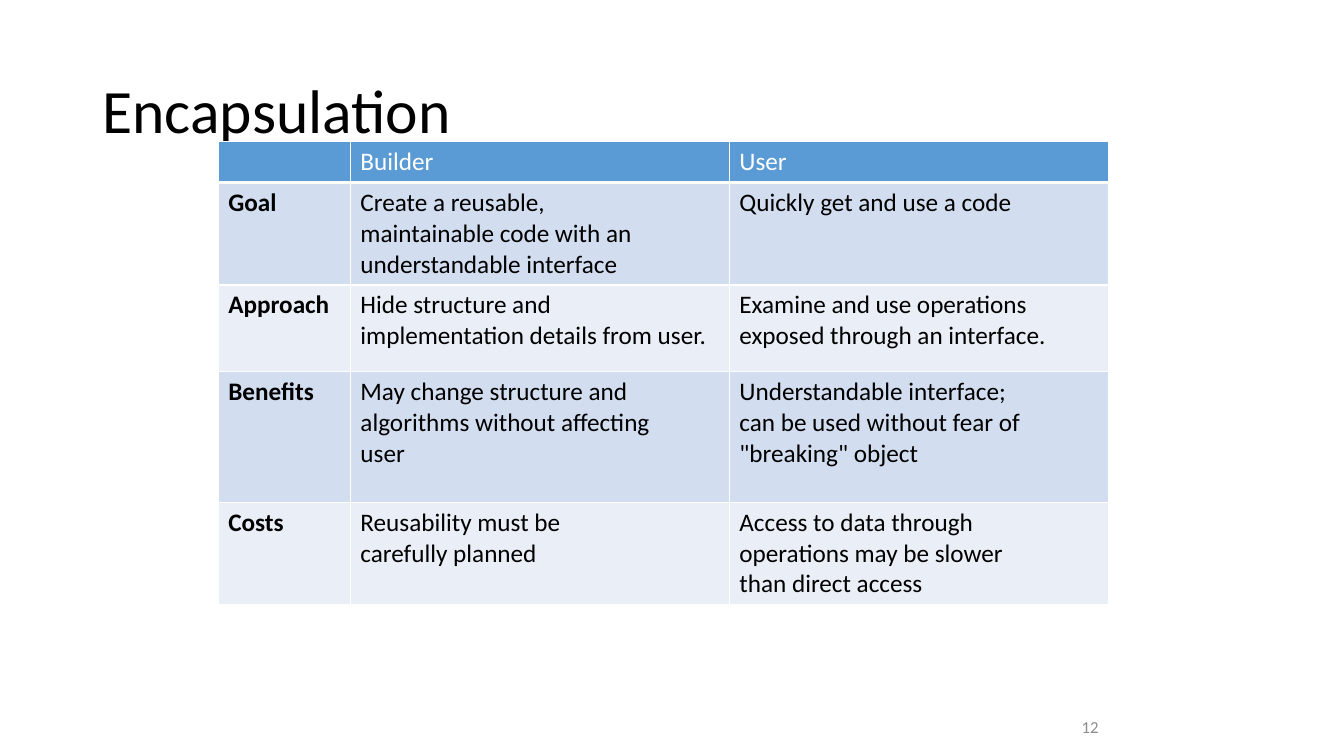
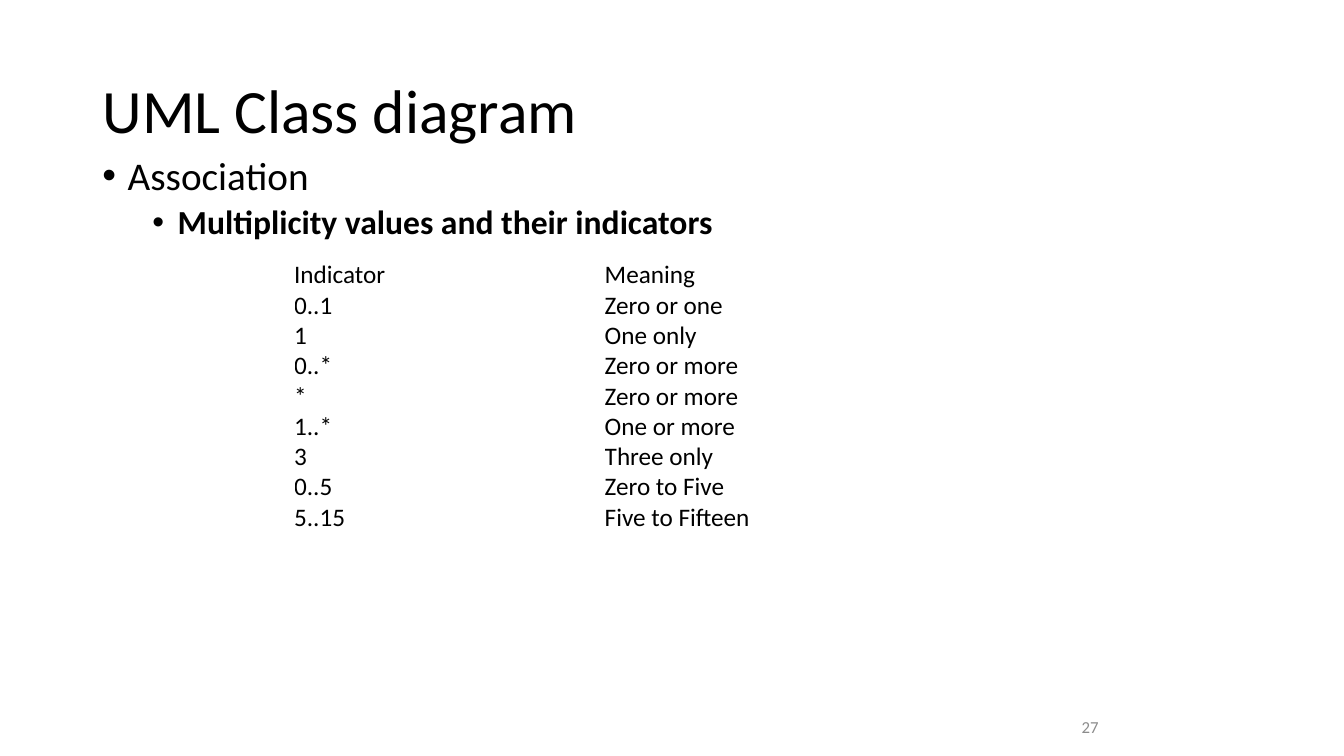
from lxml.etree import SubElement
from pptx import Presentation
from pptx.dml.color import RGBColor
from pptx.enum.text import MSO_ANCHOR, PP_ALIGN
from pptx.oxml import parse_xml
from pptx.oxml.ns import nsdecls, qn
from pptx.util import Cm, Pt

BLACK = RGBColor(0x00, 0x00, 0x00)
WHITE = RGBColor(0xFF, 0xFF, 0xFF)
GREY = RGBColor(0x8C, 0x8C, 0x8C)
BLUE = RGBColor(0x5B, 0x9B, 0xD5)
BANDS = RGBColor(0xD2, 0xDE, 0xEF), RGBColor(0xEA, 0xEF, 0xF7)
FONT = "Calibri"

TITLE_BOX = Cm(2.33), Cm(1.01), Cm(29.21), Cm(3.68)
PAGE_BOX = Cm(22.01), Cm(17.82), Cm(5.93), Cm(1.01)
LIST_BOX = Cm(2.33), Cm(3.81), Cm(29.21), Cm(13.36)

ROLES = [
    ("", "Builder", "User"),
    ("Goal",
     "Create a reusable,\nmaintainable code with an\nunderstandable interface",
     "Quickly get and use a code"),
    ("Approach",
     "Hide structure and\nimplementation details from user.",
     "Examine and use operations\nexposed through an interface."),
    ("Benefits",
     "May change structure and\nalgorithms without affecting\nuser",
     "Understandable interface;\ncan be used without fear of\n\"breaking\" object"),
    ("Costs",
     "Reusability must be\ncarefully planned",
     "Access to data through\noperations may be slower\nthan direct access"),
]
COUNTS = [
    ("Indicator", "Meaning"),
    ("0..1", "Zero or one"),
    ("1", "One only"),
    ("0..*", "Zero or more"),
    ("*", "Zero or more"),
    ("1..*", "One or more"),
    ("3", "Three only"),
    ("0..5", "Zero to Five"),
    ("5..15", "Five to Fifteen"),
]


def write(frame, text, size=18, color=BLACK, bold=False, align=PP_ALIGN.LEFT,
          line=None, before=None, bullet=None):
    """Add one paragraph per line of text; bullet is the left indent."""
    for part in text.split("\n"):
        para = frame.add_paragraph() if frame.text else frame.paragraphs[0]
        para.alignment, para.line_spacing, para.space_before = align, line, before
        para.font.size = Pt(size)
        run = para.add_run()
        run.text = part
        font = run.font
        font.name, font.size, font.bold = FONT, Pt(size), bold
        font.color.rgb = color
        if bullet is not None:
            props = para._p.get_or_add_pPr()
            props.set("marL", str(bullet))
            props.set("indent", str(-Cm(0.64)))
            SubElement(props, qn("a:buFont"), typeface="Arial")
            SubElement(props, qn("a:buChar"), char="•")


def add_box(slide, box, anchor=MSO_ANCHOR.TOP):
    frame = slide.shapes.add_textbox(*box).text_frame
    frame.word_wrap = True
    frame.vertical_anchor = anchor
    return frame


def add_slide(deck, title, page):
    slide = deck.slides.add_slide(deck.slide_layouts[5])
    head = slide.shapes.title
    head.left, head.top, head.width, head.height = TITLE_BOX
    head.text_frame.vertical_anchor = MSO_ANCHOR.MIDDLE
    write(head.text_frame, title, size=44, line=0.9)
    write(add_box(slide, PAGE_BOX, MSO_ANCHOR.MIDDLE), str(page),
          size=12, color=GREY, align=PP_ALIGN.RIGHT)
    return slide


def add_grid(slide, left, top, widths, heights):
    table = slide.shapes.add_table(len(heights), len(widths), left, top,
                                   sum(widths), sum(heights)).table
    table.first_row = table.horz_banding = False
    for col, width in zip(table.columns, widths):
        col.width = width
    for row, height in zip(table.rows, heights):
        row.height = height
    return table


def edge(cell, base=1):
    """Draw white cell borders, 1 pt wide except for the base."""
    props = cell._tc.get_or_add_tcPr()
    for spot, side in enumerate("LRTB"):
        width = Pt(base if side == "B" else 1)
        props.insert(spot, parse_xml(
            f'<a:ln{side} {nsdecls("a")} w="{width}"><a:solidFill>'
            f'<a:srgbClr val="{WHITE}"/></a:solidFill></a:ln{side}>'))


def add_roles(slide, left, top):
    widths = Cm(3.33), Cm(9.55), Cm(9.55)
    heights = [Cm(h) for h in (1.04, 2.58, 2.18, 3.3, 2.58)]
    table = add_grid(slide, left, top, widths, heights)
    for r, row in enumerate(ROLES):
        for c, text in enumerate(row):
            cell = table.cell(r, c)
            cell.fill.solid()
            cell.fill.fore_color.rgb = BANDS[(r - 1) % 2] if r else BLUE
            edge(cell, base=1 if r else 3)
            if text:
                write(cell.text_frame, text, bold=c == 0,
                      color=BLACK if r else WHITE)


def add_counts(slide, left, top):
    table = add_grid(slide, left, top, [Cm(7.83)] * 2, [Cm(0.76)] * len(COUNTS))
    for r, row in enumerate(COUNTS):
        for c, text in enumerate(row):
            cell = table.cell(r, c)
            cell.fill.background()
            cell.vertical_anchor = MSO_ANCHOR.MIDDLE
            cell.margin_left = cell.margin_right = 0
            cell.margin_top = cell.margin_bottom = 0
            write(cell.text_frame, text)


def add_list(slide, box):
    frame = add_box(slide, box)
    write(frame, "Association", size=28, line=0.9, before=Pt(10),
          bullet=Cm(0.64))
    write(frame, "Multiplicity values and their indicators", size=24,
          bold=True, line=0.9, before=Pt(5), bullet=Cm(1.9))


def main():
    deck = Presentation()
    deck.slide_width, deck.slide_height = Cm(33.87), Cm(19.05)
    add_roles(add_slide(deck, "Encapsulation", 12), Cm(5.5), Cm(3.56))
    slide = add_slide(deck, "UML Class diagram", 27)
    add_list(slide, LIST_BOX)
    add_counts(slide, Cm(7.41), Cm(6.55))
    deck.save("out.pptx")


if __name__ == "__main__":
    main()
